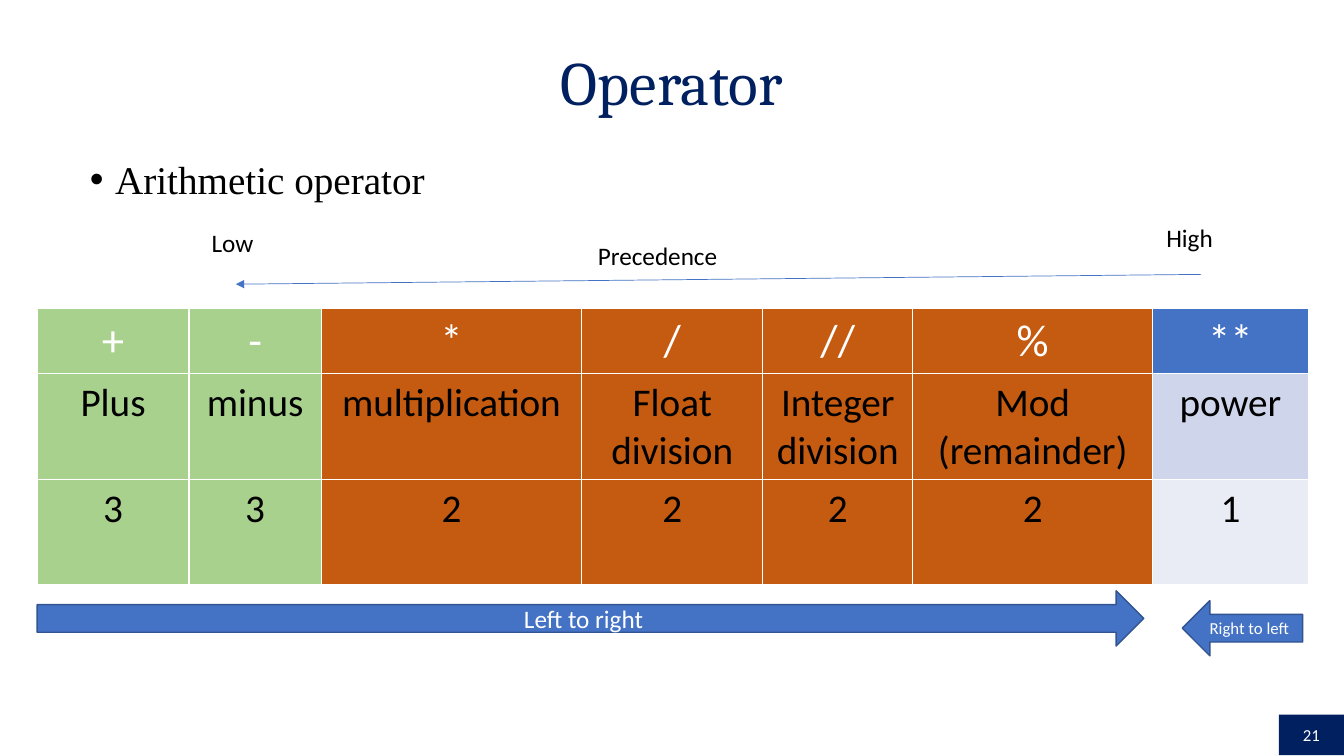
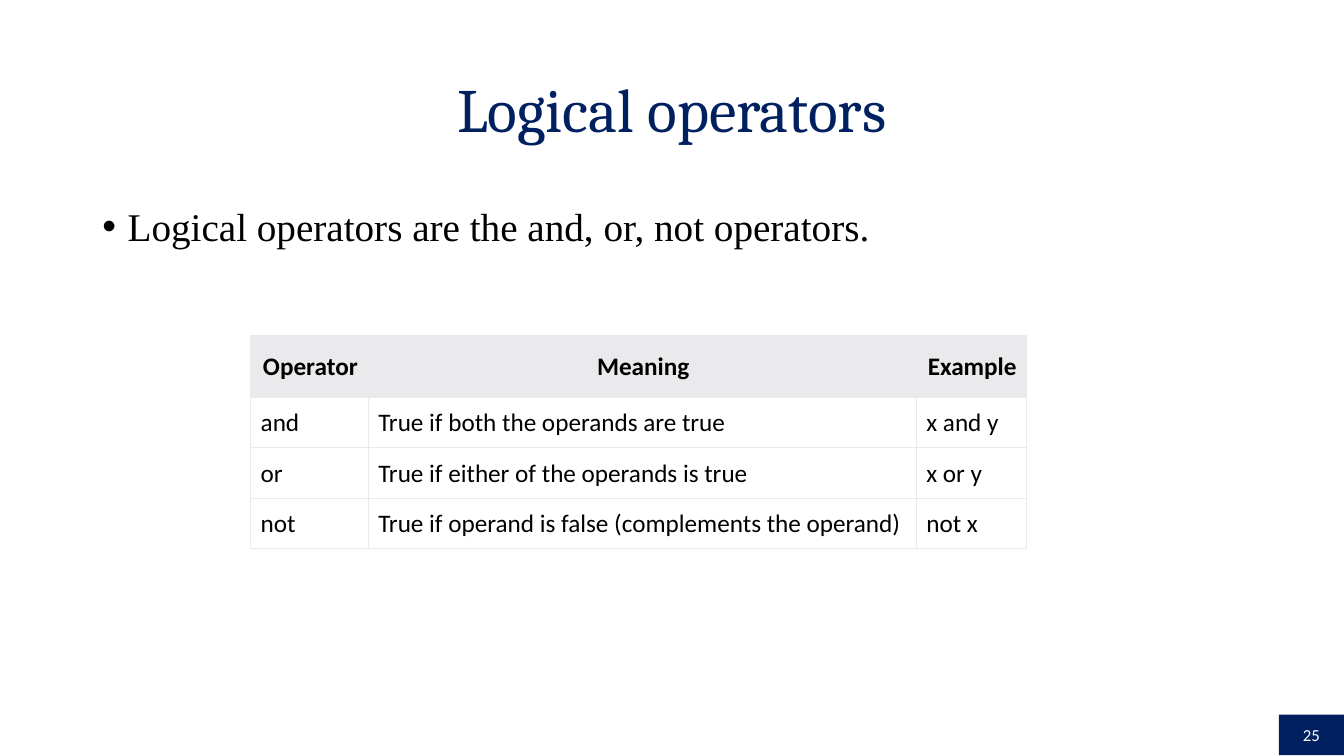
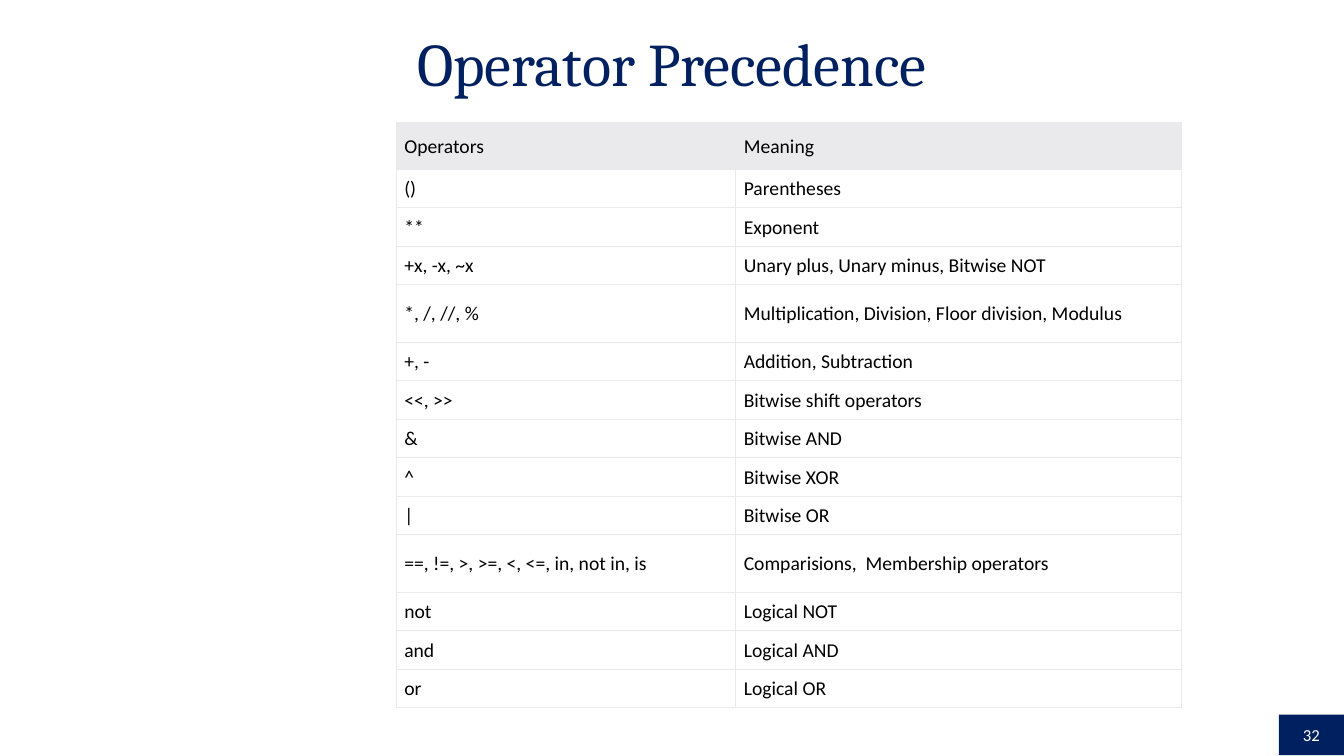
from dataclasses import dataclass
from typing import NamedTuple

from lxml.etree import SubElement
from pptx import Presentation
from pptx.dml.color import RGBColor
from pptx.enum.shapes import MSO_CONNECTOR, MSO_SHAPE
from pptx.enum.text import MSO_ANCHOR, MSO_AUTO_SIZE, PP_ALIGN
from pptx.oxml.ns import qn
from pptx.util import Pt

COLORS = {
    "navy": "002060", "black": "000000", "white": "FFFFFF", "blue": "4472C4",
    "outline": "325491", "green": "A9D18E", "orange": "C55A11",
    "pale_blue": "CFD5EA", "paler_blue": "E9EBF5", "grey": "EAEAEC",
}
LAYOUT_CONTENT, LAYOUT_TITLE_ONLY = 1, 5


class Box(NamedTuple):
    left: float
    top: float
    width: float
    height: float

    def lengths(self):
        return [Pt(v) for v in self]


class Insets(NamedTuple):
    left: float = 7.2
    top: float = 3.6
    right: float = 7.2
    bottom: float = 3.6


@dataclass(frozen=True)
class Style:
    size: float
    color: str = "black"
    font: str = "Calibri"
    bold: bool = False
    align: PP_ALIGN = PP_ALIGN.LEFT


@dataclass(frozen=True)
class CellLook:
    style: Style
    fill: str
    insets: Insets = Insets()
    anchor: MSO_ANCHOR = MSO_ANCHOR.MIDDLE


class Operation(NamedTuple):
    symbol: str
    name: str
    rank: int
    width: float


class Label(NamedTuple):
    text: str
    box: Box


class Arrow(NamedTuple):
    text: str
    shape: MSO_SHAPE
    box: Box
    size: float


TITLE = Style(44, "navy", "Cambria", align=PP_ALIGN.CENTER)
SMALL_TITLE = Style(43.2, "navy", "Cambria", align=PP_ALIGN.CENTER)
BULLET = Style(28, font="Times New Roman")
LABEL = Style(18)
PAGE = Style(12, "white", align=PP_ALIGN.CENTER)
PAGE_BOX = Box(913.5, 510.5, 46.5, 29)

OPERATIONS = [
    Operation("+", "Plus", 3, 108.5),
    Operation("-", "minus", 3, 94.5),
    Operation("*", "multiplication", 2, 186),
    Operation("/", "Float division", 2, 129.5),
    Operation("//", "Integer division", 2, 107),
    Operation("%", "Mod (remainder)", 2, 171.5),
    Operation("**", "power", 1, 111),
]
RANK_FILLS = {
    1: ("blue", "pale_blue", "paler_blue"),
    2: ("orange",) * 3,
    3: ("green",) * 3,
}
LABELS = [
    Label("Precedence", Box(420, 168, 136, 29)),
    Label("High", Box(826, 155.5, 49, 29)),
    Label("Low", Box(144, 159, 49, 29)),
]
ARROWS = [
    Arrow("Right to left", MSO_SHAPE.LEFT_ARROW, Box(844.5, 429, 86, 39.5), 12),
    Arrow("Left to right", MSO_SHAPE.RIGHT_ARROW, Box(26.5, 422, 790.5, 39.5), 18),
]
LOGICAL = [
    ("Operator", "Meaning", "Example"),
    ("and", "True if both the operands are true", "x and y"),
    ("or", "True if either of the operands is true", "x or y"),
    ("not", "True if operand is false (complements the operand)", "not x"),
]
PRECEDENCE = [
    ("Operators", "Meaning"),
    ("()", "Parentheses"),
    ("**", "Exponent"),
    ("+x, -x, ~x", "Unary plus, Unary minus, Bitwise NOT"),
    ("*, /, //, %", "Multiplication, Division, Floor division, Modulus"),
    ("+, -", "Addition, Subtraction"),
    ("<<, >>", "Bitwise shift operators"),
    ("&", "Bitwise AND"),
    ("^", "Bitwise XOR"),
    ("|", "Bitwise OR"),
    ("==, !=, >, >=, <, <=, in, not in, is", "Comparisions,  Membership operators"),
    ("not", "Logical NOT"),
    ("and", "Logical AND"),
    ("or", "Logical OR"),
]
TALL_ROWS = (4, 10)


def rgb(name: str) -> RGBColor:
    return RGBColor.from_string(COLORS[name])


def put_text(tf, text: str, style: Style):
    p = tf.paragraphs[0]
    p.alignment = style.align
    r = p.add_run()
    r.text = text
    r.font.name = style.font
    r.font.size = Pt(style.size)
    r.font.bold = style.bold
    r.font.color.rgb = rgb(style.color)
    return p


def fill_placeholder(sp, box: Box, text: str, style: Style, anchor: MSO_ANCHOR):
    sp.left, sp.top, sp.width, sp.height = box.lengths()
    tf = sp.text_frame
    tf.auto_size = MSO_AUTO_SIZE.NONE
    tf.vertical_anchor = anchor
    p = put_text(tf, text, style)
    p.line_spacing = 0.9
    p.space_before = Pt(0)
    return p


def add_filled_shape(s, shape: MSO_SHAPE, box: Box, fill: str, text: str,
                     style: Style, outline: str | None = None) -> None:
    sp = s.shapes.add_shape(shape, *box.lengths())
    sp.shadow.inherit = False
    sp.fill.solid()
    sp.fill.fore_color.rgb = rgb(fill)
    if outline:
        sp.line.color.rgb = rgb(outline)
        sp.line.width = Pt(1)
    else:
        sp.line.fill.background()
    sp.text_frame.vertical_anchor = MSO_ANCHOR.MIDDLE
    put_text(sp.text_frame, text, style)


def add_slide(prs, layout: int, title: str, title_box: Box, page: int,
              style: Style = TITLE, anchor: MSO_ANCHOR = MSO_ANCHOR.MIDDLE):
    """Add a slide with its title and the page number band."""
    s = prs.slides.add_slide(prs.slide_layouts[layout])
    fill_placeholder(s.shapes.title, title_box, title, style, anchor)
    add_filled_shape(s, MSO_SHAPE.RECTANGLE, PAGE_BOX, "navy", str(page), PAGE)
    return s


def add_bullet(s, text: str, box: Box) -> None:
    p = fill_placeholder(s.placeholders[1], box, text, BULLET, MSO_ANCHOR.TOP)
    pPr = p._p.get_or_add_pPr()
    pPr.set("marL", str(Pt(18)))
    pPr.set("indent", str(Pt(-18)))


def set_borders(cell, color: str, width: float) -> None:
    tcPr = cell._tc.get_or_add_tcPr()
    for side in ("lnL", "lnR", "lnT", "lnB"):
        ln = SubElement(tcPr, qn(f"a:{side}"), w=str(Pt(width)))
        fill = SubElement(ln, qn("a:solidFill"))
        SubElement(fill, qn("a:srgbClr"), val=COLORS[color])


def add_grid(s, left: float, top: float, widths: list[float], heights: list[float],
             rows: list, looks: list[list[CellLook]], border: str, line: float) -> None:
    box = Box(left, top, sum(widths), sum(heights))
    table = s.shapes.add_table(len(heights), len(widths), *box.lengths()).table
    table.first_row = table.horz_banding = False
    for column, width in zip(table.columns, widths):
        column.width = Pt(width)
    for i, height in enumerate(heights):
        table.rows[i].height = Pt(height)
        for j, look in enumerate(looks[i]):
            cell = table.cell(i, j)
            set_borders(cell, border, line)
            cell.fill.solid()
            cell.fill.fore_color.rgb = rgb(look.fill)
            (cell.margin_left, cell.margin_top,
             cell.margin_right, cell.margin_bottom) = [Pt(v) for v in look.insets]
            cell.vertical_anchor = look.anchor
            put_text(cell.text_frame, rows[i][j], look.style)


def add_reference_grid(s, left: float, top: float, widths: list[float],
                       heights: list[float], rows: list,
                       header: CellLook, body: CellLook) -> None:
    """Add a grey-ruled table with one look for the header and one for the rest."""
    looks = [[body if i else header] * len(widths) for i in range(len(rows))]
    add_grid(s, left, top, widths, heights, rows, looks, "grey", 0.75)


def add_precedence_line(s) -> None:
    line = s.shapes.add_connector(MSO_CONNECTOR.STRAIGHT,
                                  Pt(858), Pt(196), Pt(168.5), Pt(203))
    line.line.color.rgb = rgb("blue")
    line.line.width = Pt(0.5)
    SubElement(line.line._get_or_add_ln(), qn("a:tailEnd"), type="triangle")
    SubElement(line._element.spPr, qn("a:effectLst"))


def build_arithmetic(prs) -> None:
    s = add_slide(prs, LAYOUT_CONTENT, "Operator", Box(66, 28.5, 828, 65), 21)
    add_bullet(s, "Arithmetic operator", Box(57, 111, 828, 382))
    symbol = Style(32, "white", align=PP_ALIGN.CENTER)
    entry = Style(28, align=PP_ALIGN.CENTER)
    rows = [[o.symbol for o in OPERATIONS],
            [o.name for o in OPERATIONS],
            [str(o.rank) for o in OPERATIONS]]
    looks = [[CellLook(style, RANK_FILLS[o.rank][i], anchor=MSO_ANCHOR.TOP)
              for o in OPERATIONS]
             for i, style in enumerate((symbol, entry, entry))]
    add_grid(s, 26.5, 220.5, [o.width for o in OPERATIONS], [46.5, 75, 75],
             rows, looks, "white", 1)
    add_precedence_line(s)
    for label in LABELS:
        tf = s.shapes.add_textbox(*label.box.lengths()).text_frame
        tf.word_wrap = True
        put_text(tf, label.text, LABEL)
    for arrow in ARROWS:
        style = Style(arrow.size, "white", align=PP_ALIGN.CENTER)
        add_filled_shape(s, arrow.shape, arrow.box, "blue", arrow.text, style, "outline")


def build_logical(prs) -> None:
    s = add_slide(prs, LAYOUT_CONTENT, "Logical operators", Box(66, 28, 828, 104.5), 25)
    add_bullet(s, "Logical operators are the and, or, not operators.",
               Box(66, 144.5, 828, 343))
    header = CellLook(Style(18, bold=True, align=PP_ALIGN.CENTER), "grey",
                      Insets(7.2, 11.5, 5.8, 10.8))
    body = CellLook(Style(18), "white", Insets(7.2, 7.2, 5.8, 6.5))
    add_reference_grid(s, 179, 239.5, [84, 391.5, 78.5], [44, 36, 36, 36],
                       LOGICAL, header, body)


def build_precedence(prs) -> None:
    s = add_slide(prs, LAYOUT_TITLE_ONLY, "Operator Precedence",
                  Box(207.5, 16.5, 545, 58.5), 32, SMALL_TITLE, MSO_ANCHOR.BOTTOM)
    header = CellLook(Style(14), "grey", Insets(5.8, 8.5, 4.3, 7.8))
    body = CellLook(Style(14), "white", Insets(5.8, 5.5, 4.3, 4.8))
    heights = [33.5] + [41 if i in TALL_ROWS else 27.5
                        for i in range(1, len(PRECEDENCE))]
    add_reference_grid(s, 283, 87.5, [242.5, 318.5], heights, PRECEDENCE, header, body)


def main() -> None:
    prs = Presentation()
    prs.slide_width, prs.slide_height = Pt(960), Pt(540)
    build_arithmetic(prs)
    build_logical(prs)
    build_precedence(prs)
    prs.save("out.pptx")


if __name__ == "__main__":
    main()
